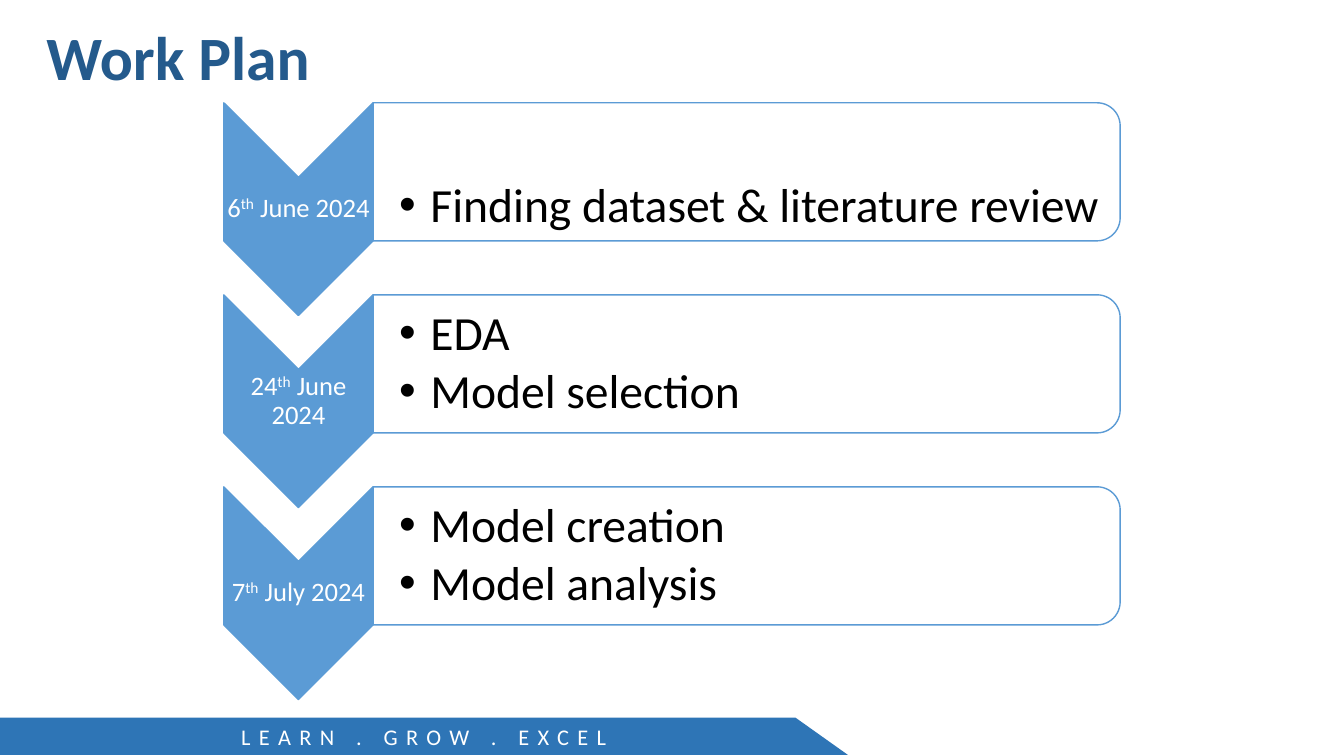
from lxml.etree import SubElement
from pptx import Presentation
from pptx.dml.color import RGBColor
from pptx.enum.shapes import MSO_SHAPE as Shape
from pptx.enum.text import MSO_ANCHOR as Anchor, PP_ALIGN as Align
from pptx.oxml.ns import qn
from pptx.util import Inches, Pt

# Content
TITLE = "Work Plan"
MOTTO = "LEARN . GROW . EXCEL"
# day, ordinal, month and year, tasks, vertical place of the tasks
STAGES = [
    ("6", "th", " June 2024", ["Finding dataset & literature review"], Anchor.BOTTOM),
    ("24", "th", " June 2024", ["EDA", "Model selection"], Anchor.MIDDLE),
    ("7", "th", " July 2024", ["Model creation", "Model analysis"], Anchor.MIDDLE),
]
FONT = "Calibri"
BLUE, NAVY, BAND = "5B9BD5", "245A8C", "2E75B6"
WHITE, BLACK = "FFFFFF", "000000"

# Grid, in inches
WIDTH, HEIGHT = 13.33, 7.5
LEFT, TOP, PITCH = 2.22, 1.02, 1.905
ARROW_W, ARROW_H = 1.48, 2.11
CARD_W, CARD_H = 7.41, 1.37
CARD_LEFT = LEFT + ARROW_W
LABEL_H, TASKS_H = 0.63, 1.24
BAND_TOP, BAND_H, BAND_W, BAND_SLANT = 7.12, 0.37, 8.41, 0.52


def color(hex_code):
    return RGBColor.from_string(hex_code)


def style(span, size, hex_code, bold=False):
    span.font.name = FONT
    span.font.size = Pt(size)
    span.font.bold = bold
    span.font.color.rgb = color(hex_code)


def paint(shape, fill, line=None):
    shape.shadow.inherit = False
    shape.fill.solid()
    shape.fill.fore_color.rgb = color(fill)
    if line:
        shape.line.color.rgb = color(line)
        shape.line.width = Pt(1)
    else:
        shape.line.fill.background()


def add_turned(page, kind, left, top, width, height, fill):
    """Add a shape turned by 90 degrees that covers the given area."""
    shape = page.shapes.add_shape(
        kind, Inches(left + (width - height) / 2), Inches(top + (height - width) / 2),
        Inches(height), Inches(width))
    shape.rotation = 90
    paint(shape, fill, BLUE)


def set_frame(frame, anchor, inset, left_inset):
    frame.word_wrap = True
    frame.vertical_anchor = anchor
    frame.margin_top = frame.margin_right = frame.margin_bottom = Inches(inset)
    frame.margin_left = Inches(left_inset)


def add_text(page, left, top, width, height, anchor, inset, left_inset):
    box = page.shapes.add_textbox(Inches(left), Inches(top), Inches(width), Inches(height))
    set_frame(box.text_frame, anchor, inset, left_inset)
    return box.text_frame


def add_bullet(para):
    props = para._p.get_or_add_pPr()
    props.set("marL", str(Inches(0.31)))
    props.set("indent", str(-Inches(0.31)))
    SubElement(props, qn("a:buFont")).set("typeface", "Arial")
    SubElement(props, qn("a:buChar")).set("char", "•")


def add_date(page, top, parts):
    frame = add_text(page, LEFT, top, ARROW_W, LABEL_H, Anchor.MIDDLE, 0.01, 0.01)
    para = frame.paragraphs[0]
    para.alignment = Align.CENTER
    para.line_spacing = 0.9
    for part in parts:
        span = para.add_run()
        span.text = part
        style(span, 19, WHITE)
    para.runs[1]._r.get_or_add_rPr().set("baseline", "30000")


def add_tasks(page, top, tasks, anchor):
    frame = add_text(page, CARD_LEFT, top, CARD_W - 0.07, TASKS_H, anchor, 0.02, 0.26)
    frame.text = "\n".join(tasks)
    for para in frame.paragraphs:
        para.line_spacing = 0.9
        para.space_after = Pt(5)
        add_bullet(para)
        style(para.runs[0], 34, BLACK)


def add_band(page):
    builder = page.shapes.build_freeform(0, Inches(BAND_TOP))
    corners = [(BAND_W - BAND_SLANT, BAND_TOP), (BAND_W, BAND_TOP + BAND_H),
               (0, BAND_TOP + BAND_H)]
    builder.add_line_segments([(Inches(x), Inches(y)) for x, y in corners], close=True)
    band = builder.convert_to_shape()
    paint(band, BAND)
    frame = band.text_frame
    set_frame(frame, Anchor.MIDDLE, 0.05, 0.05)
    frame.text = MOTTO
    para = frame.paragraphs[0]
    para.alignment = Align.CENTER
    style(para.runs[0], 16, WHITE)
    para.runs[0]._r.get_or_add_rPr().set("spc", "600")


def add_title(page):
    title = page.shapes.title
    title.left, title.top = Inches(0.36), Inches(0.13)
    title.width, title.height = Inches(WIDTH - 0.72), Inches(0.84)
    title.text_frame.text = TITLE
    title.text_frame.vertical_anchor = Anchor.MIDDLE
    para = title.text_frame.paragraphs[0]
    para.alignment = Align.LEFT
    style(para.runs[0], 44, NAVY, bold=True)


def main():
    deck = Presentation()
    deck.slide_width, deck.slide_height = Inches(WIDTH), Inches(HEIGHT)
    page = deck.slides.add_slide(deck.slide_layouts[5])
    add_band(page)
    add_title(page)

    # One chevron and one card per stage
    for row, (day, ordinal, month, tasks, anchor) in enumerate(STAGES):
        top = TOP + row * PITCH
        add_turned(page, Shape.CHEVRON, LEFT, top, ARROW_W, ARROW_H, BLUE)
        add_date(page, top + (ARROW_H - LABEL_H) / 2, (day, ordinal, month))
        add_turned(page, Shape.ROUND_2_SAME_RECTANGLE, CARD_LEFT, top, CARD_W, CARD_H, WHITE)
        add_tasks(page, top + (CARD_H - TASKS_H) / 2, tasks, anchor)

    deck.save("out.pptx")


if __name__ == "__main__":
    main()
